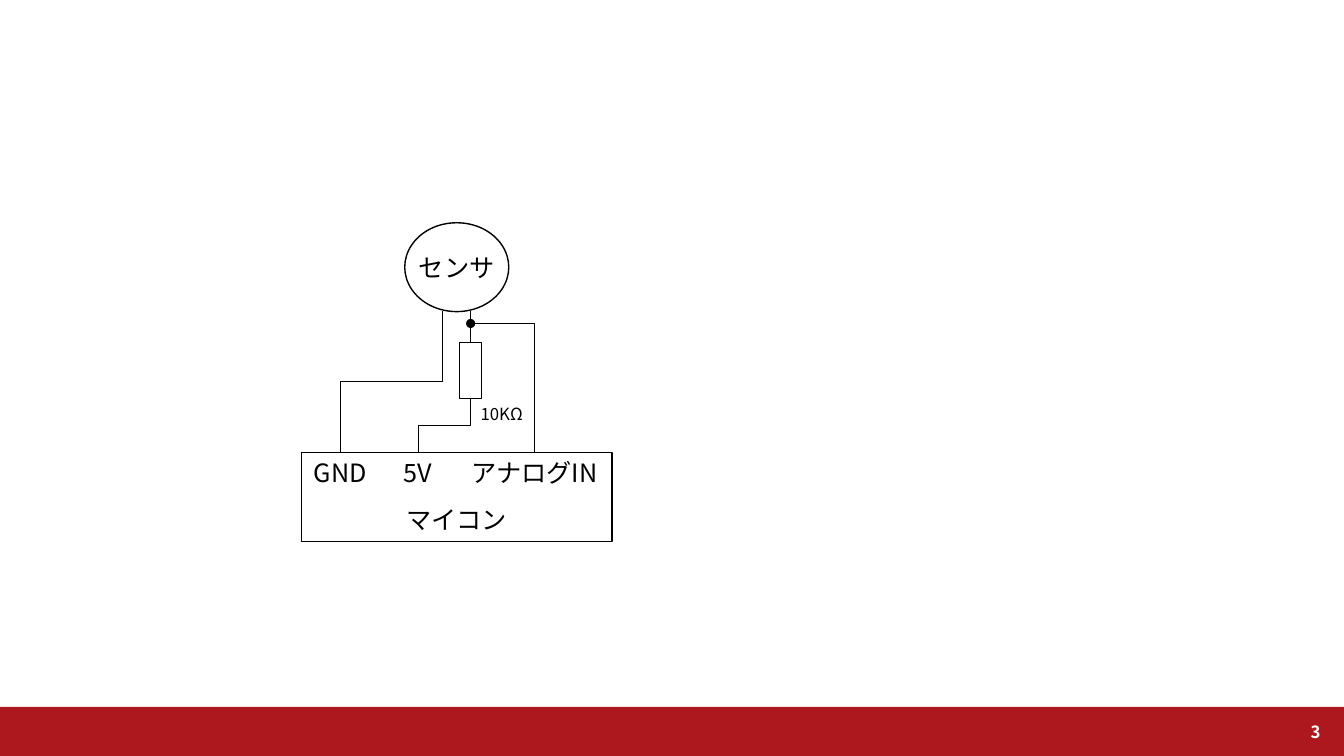
from dataclasses import dataclass

import pptx
import pptx.dml.color
import pptx.enum.shapes
import pptx.enum.text
import pptx.oxml
import pptx.oxml.ns
import pptx.util

HUES = {"bar": "AC181E", "ink": "000000", "page": "FFFFFF"}
FONT = "Noto Sans CJK JP"
WIDE, HIGH = 13.33, 7.5
# Grid: four pin columns across the board, rows from the sensor's top
LEFT, TOP, COL, ROW = 2.99, 2.21, 0.77, 0.38

KIND = pptx.enum.shapes.MSO_SHAPE
ALIGN = pptx.enum.text.PP_ALIGN
qn = pptx.oxml.ns.qn
inch = pptx.util.Inches


@dataclass(frozen=True)
class Box:
    left: float
    top: float
    width: float
    height: float


@dataclass(frozen=True)
class Part:
    kind: KIND
    box: Box
    line: float | None = 1
    fill: str | None = None


@dataclass(frozen=True)
class Label:
    text: str
    box: Box
    size: float = 18


@dataclass(frozen=True)
class Wire:
    """Runs down from start to end, turning at a share of the drop."""
    start: tuple[float, float]
    end: tuple[float, float]
    turn: float = 0.5


def cell(col: float, row: float, cols: float, rows: float) -> Box:
    return Box(LEFT + col * COL, TOP + row * ROW, cols * COL, rows * ROW)


def share(left: float, top: float, width: float, height: float) -> Box:
    return Box(left * WIDE, top * HIGH, width * WIDE, height * HIGH)


def span(box: Box) -> list[int]:
    return [inch(n) for n in (box.left, box.top, box.width, box.height)]


def tint(name: str) -> pptx.dml.color.RGBColor:
    return pptx.dml.color.RGBColor.from_string(HUES[name])


def draw_part(slide, part: Part) -> None:
    shape = slide.shapes.add_shape(part.kind, *span(part.box))
    shape.shadow.inherit = False
    if part.fill:
        shape.fill.solid()
        shape.fill.fore_color.rgb = tint(part.fill)
    else:
        shape.fill.background()
    if part.line:
        shape.line.color.rgb = tint("ink")
        shape.line.width = pptx.util.Pt(part.line)
    else:
        shape.line.fill.background()


def write(slide, text: str, box: Box, *, size: float = 18, hue: str = "ink",
          bold: bool = False, align=ALIGN.CENTER,
          anchor=pptx.enum.text.MSO_ANCHOR.TOP) -> None:
    frame = slide.shapes.add_textbox(*span(box)).text_frame
    frame.word_wrap = True
    frame.vertical_anchor = anchor
    line = frame.paragraphs[0]
    line.alignment = align
    run = line.add_run()
    run.text = text
    font = run.font
    font.name, font.size, font.bold = FONT, pptx.util.Pt(size), bold
    font.color.rgb = tint(hue)
    east = pptx.oxml.parse_xml(
        f'<a:ea {pptx.oxml.ns.nsdecls("a")} typeface="{FONT}"/>')
    run._r.get_or_add_rPr().find(qn("a:latin")).addnext(east)


def draw_wire(slide, wire: Wire) -> None:
    ends = [(LEFT + c * COL, TOP + r * ROW) for c, r in (wire.start, wire.end)]
    (x1, y1), (x2, y2) = ends
    types = pptx.enum.shapes.MSO_CONNECTOR
    bent = x1 != x2
    line = slide.shapes.add_connector(
        types.ELBOW if bent else types.STRAIGHT,
        *[inch(n) for point in ends for n in point])
    line.line.color.rgb = tint("ink")
    line.line.width = pptx.util.Pt(0.5)
    props = line._element.spPr
    props.append(props.makeelement(qn("a:effectLst"), {}))
    if not bent:
        return
    # A quarter turn makes the elbow leave and arrive upright
    drop, side = y2 - y1, abs(x2 - x1)
    line.left = inch((x1 + x2 - drop) / 2)
    line.top = inch((y1 + y2 - side) / 2)
    line.width, line.height = inch(drop), inch(side)
    frame = props.find(qn("a:xfrm"))
    right = x2 > x1
    frame.set("rot", str((270 if right else 90) * 60000))
    frame.set("flipH", str(int(right)))
    shape = props.find(qn("a:prstGeom"))
    for old in shape.findall(qn("a:avLst")):
        shape.remove(old)
    shape.append(pptx.oxml.parse_xml(
        f'<a:avLst {pptx.oxml.ns.nsdecls("a")}><a:gd name="adj1" '
        f'fmla="val {round(wire.turn * 100000)}"/></a:avLst>'))


# Sensor legs, and the rows where wires and parts meet
LEGS = (1.82, 2.18)
FOOT, NODE, HEAD, TAIL, BOARD = 2.3, 2.63, 3.13, 4.58, 6

PARTS = [
    Part(KIND.RECTANGLE, share(0, 0.935, 1, 0.065), None, "bar"),
    Part(KIND.OVAL, cell(1.33, 0, 1.34, 2.32)),
    Part(KIND.RECTANGLE, cell(LEGS[1] - 0.14, HEAD, 0.28, TAIL - HEAD), 0.5),
    Part(KIND.RECTANGLE, cell(0, BOARD, 4, 2.32)),
    Part(KIND.OVAL, cell(LEGS[1] - 0.05, NODE - 0.1, 0.1, 0.2), 1, "ink"),
]
WIRES = [
    Wire((LEGS[0], FOOT), (0.5, BOARD)),
    Wire((LEGS[1], FOOT), (LEGS[1], HEAD)),
    Wire((LEGS[1], TAIL), (1.5, BOARD)),
    Wire((LEGS[1], NODE), (3, BOARD), 0),
]
LABELS = [
    Label("センサ", cell(1.33, 0.63, 1.34, 1.05)),
    Label("GND", cell(0, BOARD, 1, 1.05)),
    Label("5V", cell(1, BOARD, 1, 1.05)),
    Label("アナログIN", cell(2, BOARD, 2, 1.05)),
    Label("マイコン", cell(1.2, 7.21, 1.6, 1.05)),
    Label("10KΩ", cell(2.1, 4.6, 0.96, 0.8), 12),
]


def main() -> None:
    deck = pptx.Presentation()
    deck.slide_width, deck.slide_height = inch(WIDE), inch(HIGH)
    slide = deck.slides.add_slide(deck.slide_layouts[6])
    slide.background.fill.solid()
    slide.background.fill.fore_color.rgb = tint("page")

    # Circuit
    for part in PARTS:
        draw_part(slide, part)
    for wire in WIRES:
        draw_wire(slide, wire)
    for label in LABELS:
        write(slide, label.text, label.box, size=label.size)

    # Page number
    write(slide, "3", share(0.92, 0.935, 0.07, 0.065), size=12, hue="page",
          bold=True, align=ALIGN.RIGHT,
          anchor=pptx.enum.text.MSO_ANCHOR.MIDDLE)
    deck.save("out.pptx")


if __name__ == "__main__":
    main()
